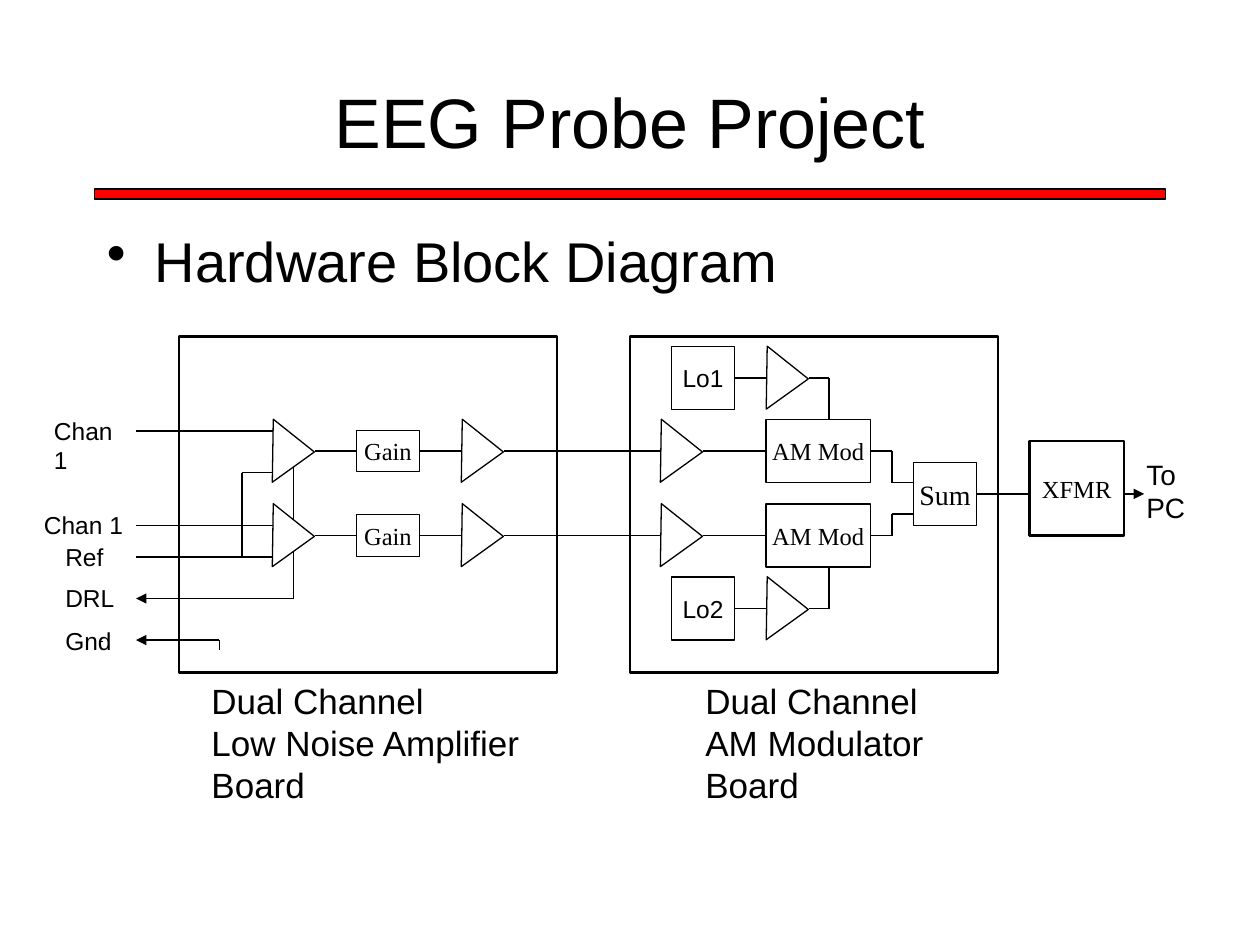
from pptx import Presentation
from pptx.dml.color import RGBColor
from pptx.enum.shapes import MSO_CONNECTOR, MSO_SHAPE
from pptx.enum.text import MSO_ANCHOR, MSO_AUTO_SIZE, PP_ALIGN
from pptx.oxml.ns import qn
from pptx.util import Inches, Pt
from lxml import etree

BLACK = RGBColor(0, 0, 0)
WHITE = RGBColor(255, 255, 255)
RED = RGBColor(255, 0, 0)
SANS, SERIF = "Arial", "Times New Roman"
RECTANGLE, TRIANGLE = MSO_SHAPE.RECTANGLE, MSO_SHAPE.ISOSCELES_TRIANGLE
STRAIGHT = MSO_CONNECTOR.STRAIGHT
MIDDLE, TOP = MSO_ANCHOR.MIDDLE, MSO_ANCHOR.TOP
CENTER, LEFT = PP_ALIGN.CENTER, PP_ALIGN.LEFT
FIT, FIXED = MSO_AUTO_SIZE.SHAPE_TO_FIT_TEXT, MSO_AUTO_SIZE.NONE
LEFT_SIDE, RIGHT_SIDE = 1, 3
ROWS = (0.91, 1.58)  # channel centre lines, from the top of a board
INPUT_EDGE = -0.34  # start of the input wires, from the left of the board


def set_text(shape, text, size, font=SANS, align=LEFT, **frame_format):
    frame = shape.text_frame
    for name, value in {"word_wrap": False, **frame_format}.items():
        setattr(frame, name, value)
    frame.text = text
    for paragraph in frame.paragraphs:
        paragraph.alignment = align
        for name, value in {"name": font, "size": Pt(size)}.items():
            setattr(paragraph.font, name, value)
        paragraph.font.color.rgb = BLACK


def add_block(slide, box, fill=WHITE, weight=0.75, kind=RECTANGLE):
    shape = slide.shapes.add_shape(kind, *map(Inches, box))
    shape.shadow.inherit = False
    if fill is None:
        shape.fill.background()
    else:
        shape.fill.solid()
        shape.fill.fore_color.rgb = fill
    shape.line.color.rgb = BLACK
    shape.line.width = Pt(weight)
    return shape


def add_labelled_block(slide, box, text, size=14, font=SERIF, **style):
    shape = add_block(slide, box, **style)
    set_text(shape, text, size, font, CENTER, vertical_anchor=MIDDLE)
    return shape


def add_label(slide, box, text, size=14, **frame_format):
    label = slide.shapes.add_textbox(*map(Inches, box))
    set_text(label, text, size, **{"auto_size": FIT, **frame_format})
    return label


def add_amplifier(slide, center_x, center_y):
    width, height = 0.5, 0.33
    box = (center_x - width / 2, center_y - height / 2, width, height)
    shape = add_block(slide, box, kind=TRIANGLE)
    shape.rotation = 90.9
    shape.adjustments[0] = 0.509


def add_wire(slide, origin, *points, source=None, target=None, arrow=False):
    """Join the points, given from the origin, by straight segments."""
    places = [(Inches(origin[0] + x), Inches(origin[1] + y)) for x, y in points]
    wires = []
    for start, end in zip(places, places[1:]):
        wire = slide.shapes.add_connector(STRAIGHT, *start, *end)
        wire.line.color.rgb = BLACK
        wire.line.width = Pt(0.75)
        etree.SubElement(wire._element.spPr, qn("a:effectLst"))
        wires.append(wire)
    if source is not None:
        wires[0].begin_connect(source, RIGHT_SIDE)
    if target is not None:
        wires[-1].end_connect(target, LEFT_SIDE)
    if arrow:
        line = wires[-1].line._get_or_add_ln()
        etree.SubElement(line, qn("a:tailEnd"), type="triangle")


def add_heading(slide, box):
    left, top, width, height = box
    # Red rule below the title
    add_block(slide, (left, top + 1.08, width, 0.08), fill=RED)
    title = add_label(slide, (left, top, width, 1.08), "EEG Probe Project", 40,
                      word_wrap=True, auto_size=FIXED, vertical_anchor=MIDDLE)
    title.text_frame.paragraphs[0].alignment = CENTER

    # Bulleted subject
    subject = add_label(slide, (left, top + height - 0.67, width, 0.67),
                        "Hardware Block Diagram", 32, word_wrap=True,
                        auto_size=FIXED, vertical_anchor=TOP)
    paragraph = subject.text_frame.paragraphs[0]
    paragraph.space_before = Pt(8)
    properties = paragraph._p.get_or_add_pPr()
    properties.set("marL", str(Inches(0.38)))
    properties.set("indent", str(-Inches(0.38)))
    etree.SubElement(properties, qn("a:buChar"), char="•")


def add_inputs(slide, box):
    left, top, width, height = box
    labels = (("Chan 1", 0.08, 0), ("Chan 1", 0, 0.75), ("Ref", 0.17, 1),
              ("DRL", 0.17, 1.33), ("Gnd", 0.17, 1.67))
    for text, x, y in labels:
        add_label(slide, (left + x, top + y, width - x, 0.34), text)
    # Small tick beside the ground label
    add_wire(slide, (left, top), (0.57, 1.84), (0.55, 1.84))


def add_amplifier_board(slide, box):
    left, top, width, height = box
    origin = (left, top)
    add_block(slide, box, fill=None, weight=1.5)

    # Two channels: input amplifier, gain and output amplifier
    for row in ROWS:
        for x in (0.91, 2.41):
            add_amplifier(slide, left + x, top + row)
        add_wire(slide, origin, (1.08, row), (2.25, row))
        add_labelled_block(slide, (left + 1.41, top + row - 0.165, 0.5, 0.33), "Gain")

    # Channel and reference inputs
    for y in (0.75, 1.5, 1.75):
        add_wire(slide, origin, (INPUT_EDGE, y), (0.75, y))
    add_wire(slide, origin, (0.5, 1.75), (0.5, 1.08), (0.75, 1.08))

    # Driven line and ground
    add_wire(slide, origin, (0.91, 1.04), (0.91, 1.46))
    add_wire(slide, origin, (0.91, 1.71), (0.91, 2.08), (INPUT_EDGE, 2.08), arrow=True)
    add_wire(slide, origin, (0.32, 2.49), (0.32, 2.41), (INPUT_EDGE, 2.41), arrow=True)

    add_label(slide, (left + 0.16, top + height, 2.66, 1.1),
              "Dual Channel\nLow Noise Amplifier\nBoard", 20)


def add_board_links(slide, box):
    left, top, width, height = box
    for y in (0, height):
        add_wire(slide, (left, top), (0, y), (width, y))


def add_modulator_board(slide, box):
    left, top, width, height = box
    origin = (left, top)
    add_block(slide, box, fill=None, weight=1.5)
    adder = add_labelled_block(slide, (left + 2.25, top + 1, 0.5, 0.5), "Sum", 16)

    # Per channel: centre lines, oscillator, modulator edge and adder entry
    channels = ((ROWS[0], "Lo1", 0.33, 0.66, 1.16),
                (ROWS[1], "Lo2", 2.16, 1.83, 1.41))
    for row, name, oscillator_y, modulator_edge, adder_y in channels:
        oscillator = add_labelled_block(
            slide, (left + 0.33, top + oscillator_y - 0.25, 0.5, 0.5), name, font=SANS)
        modulator = add_labelled_block(
            slide, (left + 1.08, top + row - 0.25, 0.83, 0.5), "AM Mod")
        add_amplifier(slide, left + 0.41, top + row)
        add_amplifier(slide, left + 1.25, top + oscillator_y)
        add_wire(slide, origin, (0.58, row), (1.08, row), target=modulator)
        add_wire(slide, origin, (0.83, oscillator_y), (1.08, oscillator_y),
                 source=oscillator)
        add_wire(slide, origin, (1.42, oscillator_y), (1.58, oscillator_y),
                 (1.58, modulator_edge))
        add_wire(slide, origin, (1.91, row), (2.08, row), (2.08, adder_y),
                 (2.25, adder_y), source=modulator)

    add_label(slide, (left + 0.5, top + height, 1.93, 1.1),
              "Dual Channel\nAM Modulator\nBoard", 20)
    return adder


def add_output(slide, box, adder):
    left, top, width, height = box
    add_labelled_block(slide, (left, top, 0.75, height), "XFMR", fill=None, weight=1.5)
    add_wire(slide, (left, top), (-0.42, 0.42), (0, 0.42), source=adder)
    add_wire(slide, (left, top), (0.75, 0.42), (0.91, 0.42), arrow=True)
    add_label(slide, (left + 0.83, top + 0.08, width - 0.83, 0.64), "To\nPC", 16)


def main():
    presentation = Presentation()
    presentation.slide_width = Inches(10)
    presentation.slide_height = Inches(7.5)
    slide = presentation.slides.add_slide(presentation.slide_layouts[6])

    add_heading(slide, (0.75, 0.42, 8.5, 2))
    add_inputs(slide, (0.25, 3.25, 0.83, 2.01))
    add_amplifier_board(slide, (1.42, 2.67, 3, 2.67))
    add_board_links(slide, (4, 3.58, 1.25, 0.67))
    adder = add_modulator_board(slide, (5, 2.67, 2.92, 2.67))
    add_output(slide, (8.17, 3.5, 1.34, 0.75), adder)

    presentation.save("out.pptx")


if __name__ == "__main__":
    main()
